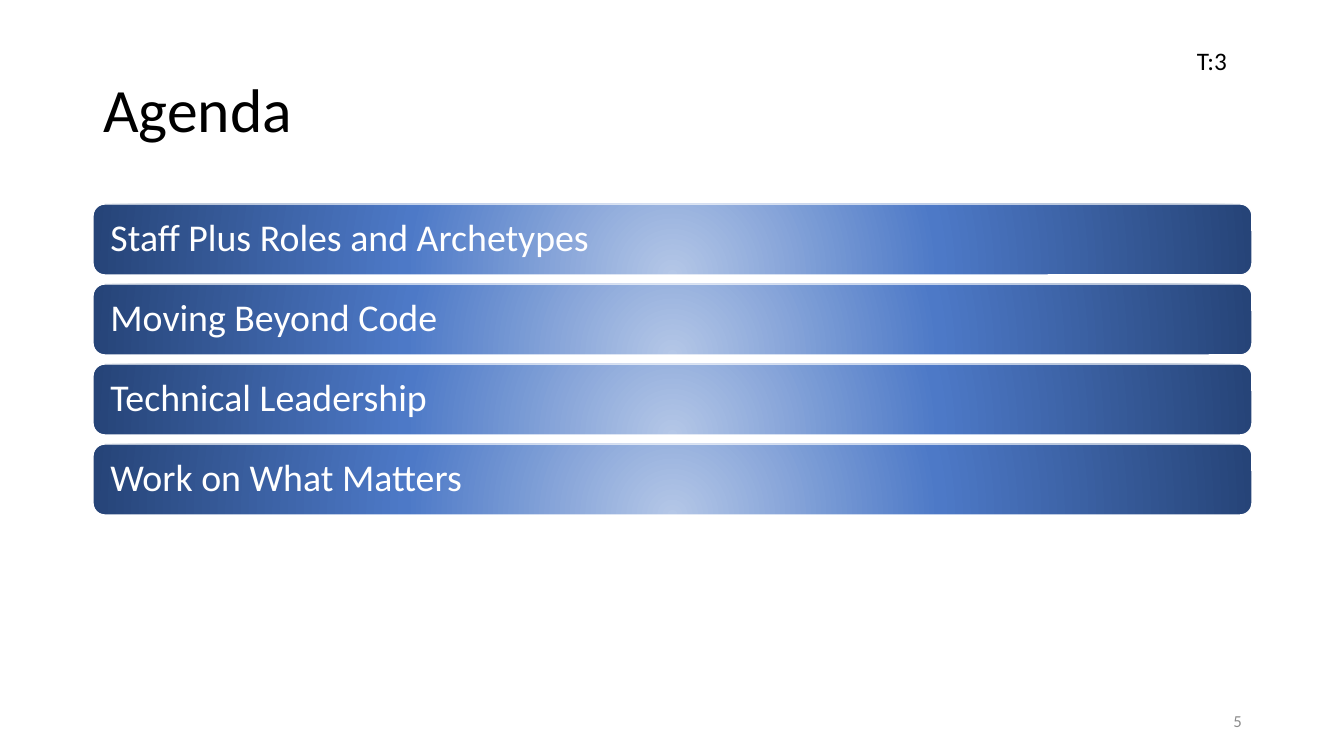
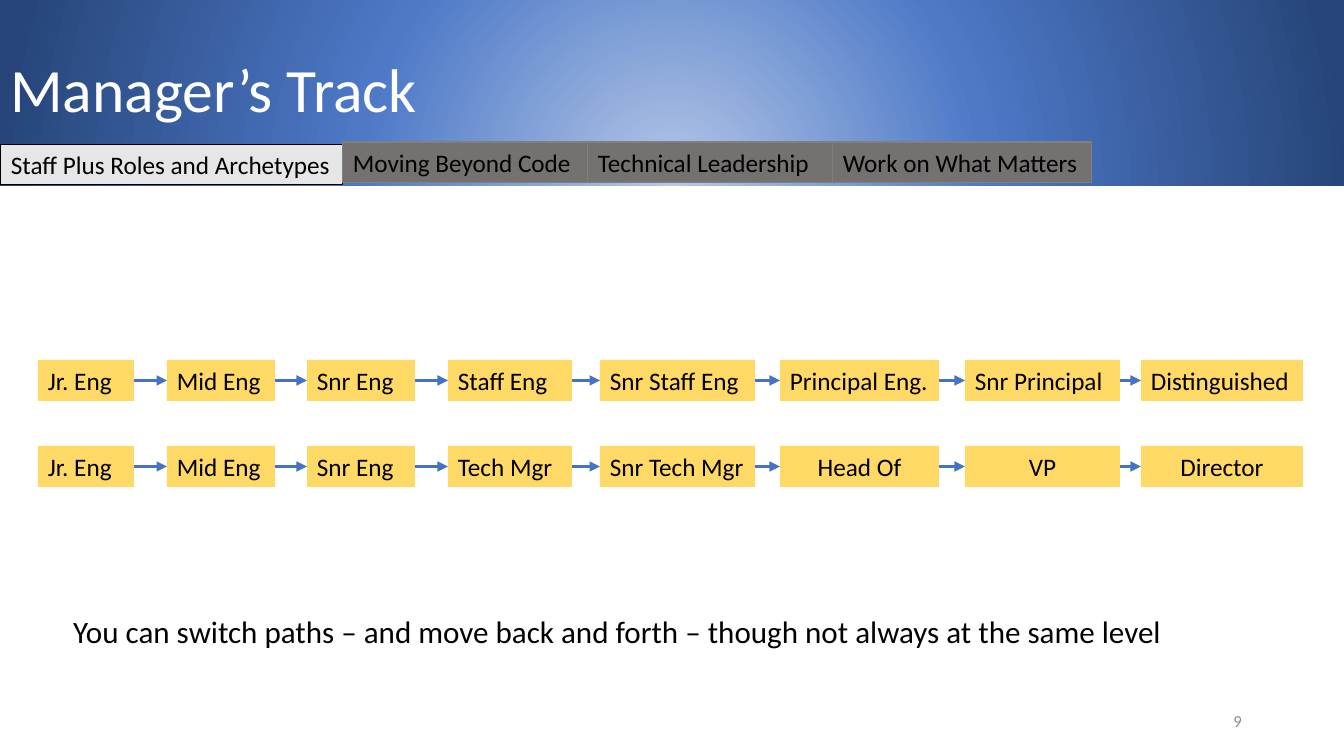
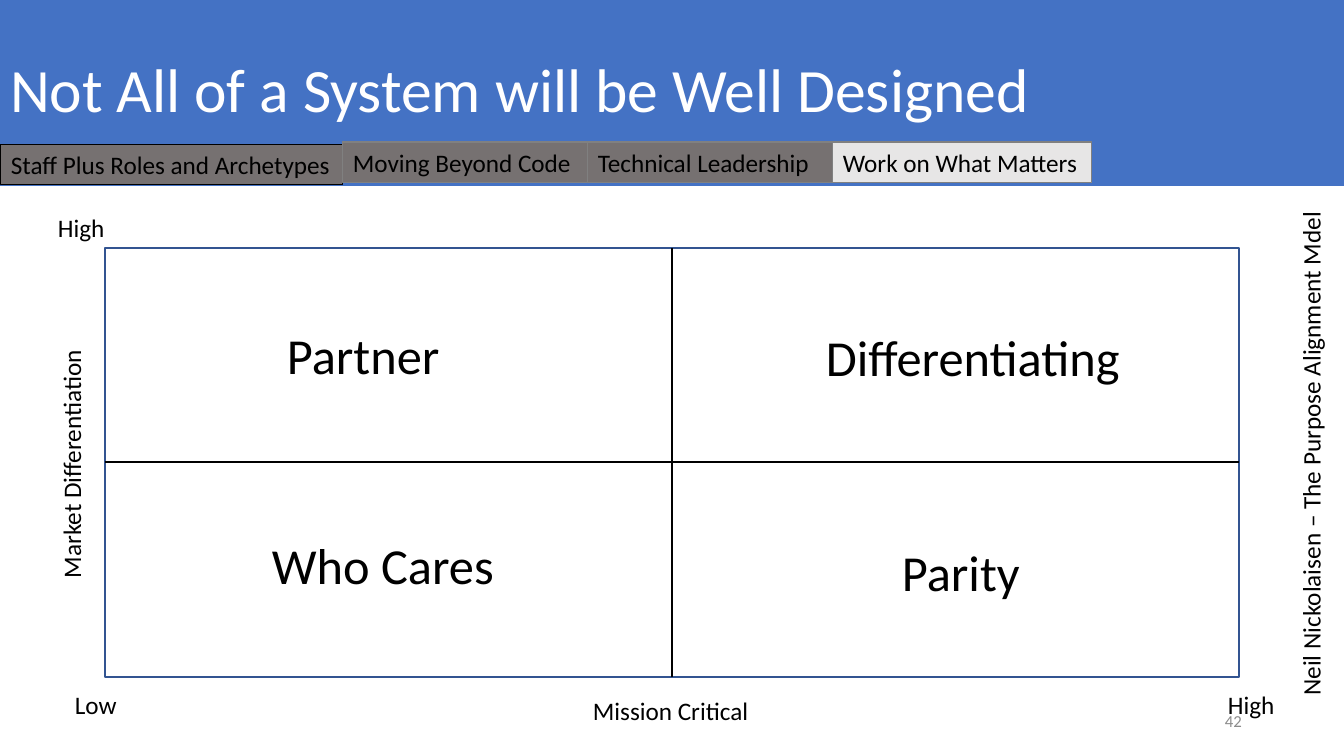
from dataclasses import dataclass

from lxml import etree
from pptx import Presentation
from pptx.dml.color import RGBColor
from pptx.enum.shapes import MSO_CONNECTOR as Link, MSO_SHAPE as Kind
from pptx.enum.text import MSO_ANCHOR as Anchor, MSO_AUTO_SIZE as Fit, PP_ALIGN as Align
from pptx.oxml import parse_xml
from pptx.oxml.ns import nsdecls, qn
from pptx.util import Emu, Pt


@dataclass(frozen=True)
class Theme:
    """Colours, font and type sizes shared by the slides."""
    font: str = "Calibri"
    black: str = "000000"
    white: str = "FFFFFF"
    blue: str = "4472C4"
    frame: str = "325491"
    gold: str = "FFD966"
    light: str = "E7E6E6"
    dark: str = "767171"
    edge: str = "808080"
    page: str = "8C8C8C"
    glow: tuple = ((0, "B4C7E7"), (46, "4D79C7"), (100, "264478"))
    title: float = 44
    cell: float = 36
    bar: float = 27
    body: float = 22.2
    text: float = 18
    small: float = 12


T = Theme()
TOPICS = ("Staff Plus Roles and Archetypes", "Moving Beyond Code",
          "Technical Leadership", "Work on What Matters")
TABS = (1, 343, 588, 833, 1092)
STEPS = ((38, 96), (167, 108), (307, 108), (448, 124),
         (600, 155), (780, 159), (965, 155), (1141, 162))
ENGINEER = ("Jr. Eng", "Mid Eng", "Snr Eng", "Staff Eng",
            "Snr Staff Eng", "Principal Eng.", "Snr Principal", "Distinguished")
MANAGER = ("Jr. Eng", "Mid Eng", "Snr Eng", "Tech Mgr",
           "Snr Tech Mgr", "Head Of", "VP", "Director")


def px(num):
    """Turn pixels into EMU."""
    return Emu(round(num * 914400 / 100.8))


def place(shape, at):
    """Move a shape to left, top, width, height."""
    shape.left, shape.top, shape.width, shape.height = map(px, at)


def write(shape, text, size, color=T.black, align=Align.LEFT,
          anchor=Anchor.TOP, wrap=True, space=None):
    """Put one styled paragraph into a shape."""
    frame = shape.text_frame
    frame.text = text
    frame.word_wrap = wrap
    frame.auto_size = Fit.NONE
    frame.vertical_anchor = anchor
    para = frame.paragraphs[0]
    para.alignment = align
    para.space_before = Pt(0)
    if space:
        para.line_spacing = space
    for run in para.runs:
        run.font.name = T.font
        run.font.size = Pt(size)
        run.font.color.rgb = RGBColor.from_string(color)


def paint(shape, color):
    """Fill a shape with one colour."""
    shape.fill.solid()
    shape.fill.fore_color.rgb = RGBColor.from_string(color)


def shine(shape):
    """Fill a shape with the round blue glow."""
    paint(shape, T.blue)
    stops = "".join(f'<a:gs pos="{pos * 1000}"><a:srgbClr val="{color}"/></a:gs>'
                    for pos, color in T.glow)
    glow = parse_xml(
        f'<a:gradFill {nsdecls("a")} rotWithShape="1"><a:gsLst>{stops}</a:gsLst>'
        '<a:path path="circle"><a:fillToRect l="50000" t="130000" r="50000" b="-30000"/>'
        '</a:path></a:gradFill>')
    solid = shape.element.spPr.find(qn("a:solidFill"))
    solid.getparent().replace(solid, glow)


def stroke(shape, color, width):
    """Set the line of a shape."""
    shape.line.color.rgb = RGBColor.from_string(color)
    shape.line.width = Pt(width)


def block(slide, at, kind=Kind.RECTANGLE):
    """Add a bare shape with no shadow, fill or line."""
    shape = slide.shapes.add_shape(kind, *map(px, at))
    shape.shadow.inherit = False
    shape.fill.background()
    shape.line.fill.background()
    return shape


def label(slide, text, at, size=T.text, turn=0):
    """Add a free line of text."""
    box = slide.shapes.add_textbox(*map(px, at))
    box.rotation = turn
    write(box, text, size, wrap=False)


def rule(slide, ends, color, width):
    """Add a straight line without shadow."""
    line = slide.shapes.add_connector(Link.STRAIGHT, *map(px, ends))
    stroke(line, color, width)
    etree.SubElement(line.element.spPr, qn("a:effectLst"))
    return line


def start(deck, layout, title, page, at=(0, 0, 1344, 186), color=T.white):
    """Add a slide with its title and page number."""
    slide = deck.slides.add_slide(deck.slide_layouts[layout])
    head = slide.shapes.title
    place(head, at)
    write(head, title, T.title, color, anchor=Anchor.MIDDLE, space=0.9)
    foot = slide.shapes.add_textbox(*map(px, (950, 701, 302, 40)))
    write(foot, page, T.small, T.page, Align.RIGHT, Anchor.MIDDLE)
    return slide


def tabs(slide, current):
    """Add the topic tabs and light up the current one."""
    for num, text in enumerate(TOPICS):
        left, right = TABS[num:num + 2]
        tab = block(slide, (left, 142 if num else 144, right - left, 41))
        paint(tab, T.light if num == current else T.dark)
        stroke(tab, T.edge if num else T.black, 0.75)
        write(tab, text, T.text)


def track(slide, names, top, mid=len(STEPS)):
    """Add a row of job steps joined by arrows, centred from step mid on."""
    last = None
    for num, (name, (left, width)) in enumerate(zip(names, STEPS)):
        step = block(slide, (left, top, width, 41))
        paint(step, T.gold)
        write(step, name, T.text, align=Align.LEFT if num < mid else Align.CENTER)
        if num < mid:
            step.text_frame.margin_right = 0
        if last:
            arrow = rule(slide, (0, 0, 0, 0), T.blue, 2.5)
            arrow.begin_connect(last, 3)
            arrow.end_connect(step, 1)
            etree.SubElement(arrow.line._get_or_add_ln(), qn("a:tailEnd"), type="triangle")
        last = step


def agenda(deck):
    """Build the agenda slide."""
    slide = start(deck, 5, "Agenda", "5", (93, 40, 1159, 146), T.black)
    for num, text in enumerate(TOPICS):
        bar = block(slide, (93, 204 + 80 * num, 1159, 71), Kind.ROUNDED_RECTANGLE)
        shine(bar)
        stroke(bar, T.white, 1)
        write(bar, text, T.bar, T.white, anchor=Anchor.MIDDLE, space=0.9)
        bar.text_frame.margin_left = px(14)
    label(slide, "T:3", (1187, 40, 50, 40))


def career(deck):
    """Build the slide with the two career tracks."""
    slide = start(deck, 1, "Manager’s Track", "9")
    shine(slide.shapes.title)
    tabs(slide, 0)
    track(slide, ENGINEER, 360)
    track(slide, MANAGER, 446, 5)
    body = slide.placeholders[1]
    place(body, (63, 612, 1159, 59))
    write(body, "You can switch paths – and move back and forth – though not always "
          "at the same level", T.body, space=0.9)
    props = body.text_frame.paragraphs[0]._p.get_or_add_pPr()
    props.set("marL", "0")
    props.set("indent", "0")
    etree.SubElement(props, qn("a:buNone"))


def matrix(deck):
    """Build the slide with the two by two model."""
    slide = start(deck, 5, "Not All of a System will be Well Designed", "42")
    paint(slide.shapes.title, T.blue)
    tabs(slide, 3)
    left, top, width, height = grid = (105, 248, 1134, 429)
    stroke(block(slide, grid), T.frame, 1)
    x, y = left + width // 2, top + height // 2
    rule(slide, (x, top, x, top + height), T.black, 1.25)
    rule(slide, (left, y, left + width, y), T.black, 1.25)
    for text, at in (("Partner", (277, 319, 174, 71)),
                     ("Differentiating", (816, 321, 319, 71)),
                     ("Who Cares", (262, 529, 245, 71)),
                     ("Parity", (892, 536, 139, 71))):
        label(slide, text, at, T.cell)
    for text, at in (("High", (48, 207, 68, 40)),
                     ("Low", (65, 684, 62, 40)),
                     ("High", (1218, 684, 68, 40)),
                     ("Mission Critical", (583, 690, 177, 40))):
        label(slide, text, at)
    label(slide, "Market Differentiation", (-55, 442, 252, 40), turn=270)
    label(slide, "Neil Nickolaisen – The Purpose Alignment Mdel",
          (1056, 431, 509, 40), turn=270)


def main():
    """Build and save the deck."""
    deck = Presentation()
    deck.slide_width, deck.slide_height = px(1344), px(756)
    agenda(deck)
    career(deck)
    matrix(deck)
    deck.save("out.pptx")


if __name__ == "__main__":
    main()
